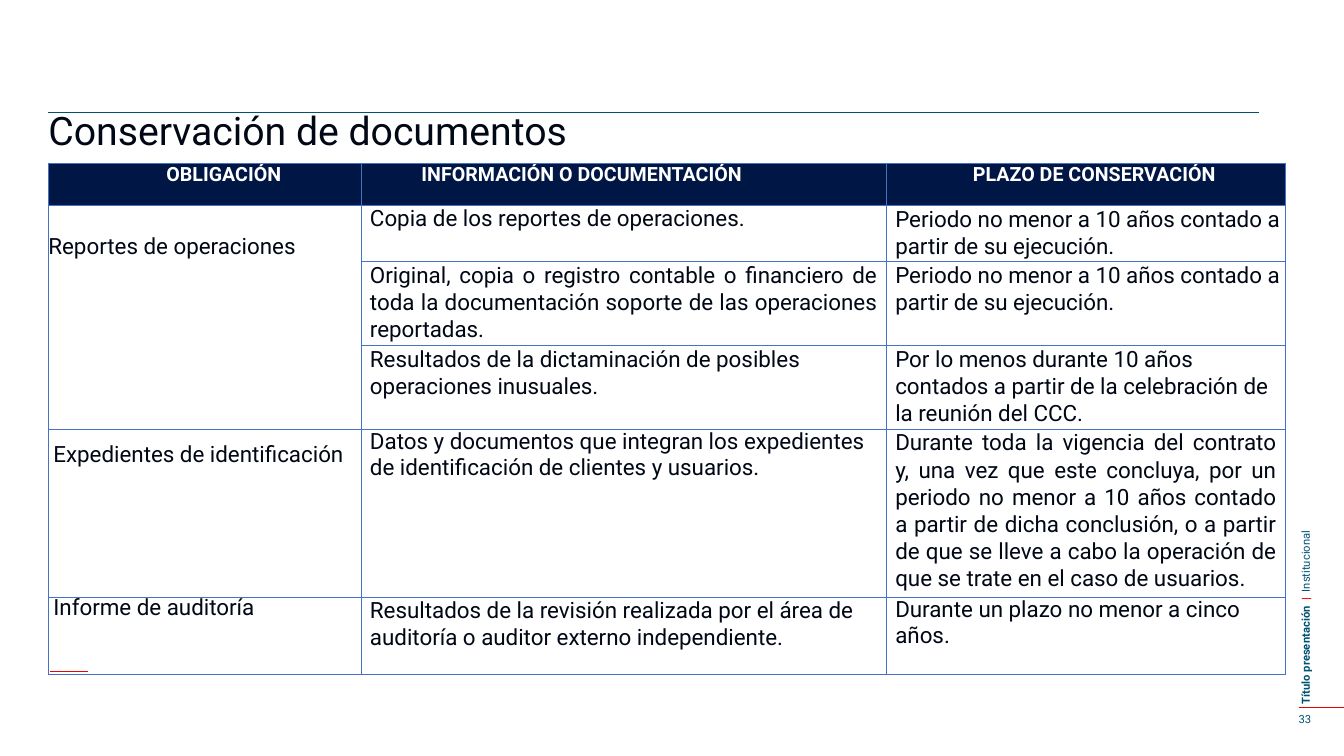
from dataclasses import dataclass

from lxml import etree
from pptx import Presentation
from pptx.dml.color import RGBColor
from pptx.enum.shapes import MSO_CONNECTOR
from pptx.enum.text import MSO_ANCHOR, PP_ALIGN
from pptx.oxml.ns import qn
from pptx.util import Inches, Pt

STRAIGHT = MSO_CONNECTOR.STRAIGHT
TOP = MSO_ANCHOR.TOP
LEFT, CENTER, JUSTIFY = PP_ALIGN.LEFT, PP_ALIGN.CENTER, PP_ALIGN.JUSTIFY


@dataclass(frozen=True)
class Theme:
    font: str = "Roboto"
    ink: str = "000715"
    white: str = "FFFFFF"
    navy: str = "001746"
    grid: str = "4472C4"
    teal: str = "005370"
    rule: str = "005471"
    red: str = "EC0000"
    title: int = 28
    head: int = 14
    body: int = 16
    small: int = 8
    line: float = 0.5


THEME = Theme()

TITLE = "Conservación de documentos"
SIDE = [("Título presentación  ", THEME.teal, True),
        ("|  ", THEME.red, True),
        ("Institucional", THEME.teal, False)]
PAGE = "33"

# Start, end and colour of each rule
RULES = [((12.88, 7.02), (13.33, 7.02), THEME.red),
         ((0.48, 1.11), (12.49, 1.11), THEME.rule),
         ((0.5, 6.66), (0.87, 6.66), THEME.red)]

COLS = [3.1, 5.21, 3.96]
ROWS = [0.42, 0.51, 0.77, 0.77, 1.63, 0.77]

# Text, left indent and alignment
HEADS = [("OBLIGACIÓN", 0.38, CENTER),
         ("INFORMACIÓN O DOCUMENTACIÓN", 0.6, LEFT),
         ("PLAZO DE CONSERVACIÓN", 0.86, LEFT)]

# Row, text, left indent, top inset and rows covered
DUTIES = [(1, "Reportes de operaciones", 0, 0.4, 3),
          (4, "Expedientes de identificación", 0.05, 0.24, 1),
          (5, "Informe de auditoría", 0.05, 0.1, 1)]

# Text, alignment and line spacing of the two right-hand columns
TERM = "Periodo no menor a 10 años contado a partir de su ejecución."
DETAILS = [
    [("Copia de los reportes de operaciones.", LEFT, 1.0),
     (TERM, LEFT, 1.04)],
    [("Original, copia o registro contable o financiero de toda la "
      "documentación soporte de las operaciones reportadas.", JUSTIFY, 1.04),
     (TERM, LEFT, 1.04)],
    [("Resultados de la dictaminación de posibles operaciones inusuales.",
      LEFT, 1.04),
     ("Por lo menos durante 10 años contados a partir de la celebración de "
      "la reunión del CCC.", LEFT, 1.04)],
    [("Datos y documentos que integran los expedientes de identificación de "
      "clientes y usuarios.", LEFT, 1.0),
     ("Durante toda la vigencia del contrato y, una vez que este concluya, "
      "por un periodo no menor a 10 años contado a partir de dicha "
      "conclusión, o a partir de que se lleve a cabo la operación de que se "
      "trate en el caso de usuarios.", JUSTIFY, 1.04)],
    [("Resultados de la revisión realizada por el área de auditoría o "
      "auditor externo independiente.", LEFT, 1.04),
     ("Durante un plazo no menor a cinco años.", LEFT, 1.0)],
]


def add_run(para, text, size, color, bold=False):
    run = para.add_run()
    run.text = text
    font = run.font
    font.name, font.size, font.bold = THEME.font, Pt(size), bold
    font.color.rgb = RGBColor.from_string(color)


def clear_frame(frame):
    """Remove the insets and set the text at the top, wrapped."""
    frame.margin_left = frame.margin_right = 0
    frame.margin_top = frame.margin_bottom = 0
    frame.vertical_anchor = TOP
    frame.word_wrap = True


def add_rule(slide, start, end, color):
    ends = [Inches(n) for n in start + end]
    rule = slide.shapes.add_connector(STRAIGHT, *ends)
    rule.line.color.rgb = RGBColor.from_string(color)
    rule.line.width = Pt(THEME.line)
    etree.SubElement(rule.element.spPr, qn("a:effectLst"))


def add_box(slide, place, runs):
    box = slide.shapes.add_textbox(*[Inches(n) for n in place])
    frame = box.text_frame
    clear_frame(frame)
    for text, color, bold in runs:
        add_run(frame.paragraphs[0], text, THEME.small, color, bold)
    return frame


def edge_cell(cell):
    props = cell._tc.get_or_add_tcPr()
    for side in ("lnL", "lnR", "lnT", "lnB"):
        line = etree.SubElement(props, qn(f"a:{side}"), w=str(Pt(THEME.line)))
        fill = etree.SubElement(line, qn("a:solidFill"))
        etree.SubElement(fill, qn("a:srgbClr"), val=THEME.grid)


def fill_cell(cell, text, left, top=0, right=0, align=LEFT, space=1.0,
              size=THEME.body, color=THEME.ink, bold=False):
    cell.margin_left, cell.margin_right = Inches(left), Inches(right)
    cell.margin_top, cell.margin_bottom = Inches(top), 0
    cell.vertical_anchor = TOP
    para = cell.text_frame.paragraphs[0]
    para.alignment, para.line_spacing = align, space
    add_run(para, text, size, color, bold)


def add_grid(slide):
    place = [Inches(n) for n in (0.48, 1.62, sum(COLS), sum(ROWS))]
    table = slide.shapes.add_table(len(ROWS), len(COLS), *place).table
    table.first_row = table.horz_banding = False
    for col, width in zip(table.columns, COLS):
        col.width = Inches(width)
    for row, height in zip(table.rows, ROWS):
        row.height = Inches(height)
    for cell in table.iter_cells():
        edge_cell(cell)
        cell.fill.background()

    for col, (text, left, align) in enumerate(HEADS):
        cell = table.cell(0, col)
        cell.fill.solid()
        cell.fill.fore_color.rgb = RGBColor.from_string(THEME.navy)
        fill_cell(cell, text, left, align=align, size=THEME.head,
                  color=THEME.white, bold=True)
    for row, text, left, top, span in DUTIES:
        cell = table.cell(row, 0)
        if span > 1:
            cell.merge(table.cell(row + span - 1, 0))
        fill_cell(cell, text, left, top, space=Pt(10))
    for row, pair in enumerate(DETAILS, 1):
        for col, (text, align, space) in enumerate(pair, 1):
            right = 0.09 if align == JUSTIFY else 0.05
            fill_cell(table.cell(row, col), text, 0.09, right=right,
                      align=align, space=space)


def main():
    deck = Presentation()
    deck.slide_width, deck.slide_height = Inches(13.33), Inches(7.5)
    slide = deck.slides.add_slide(deck.slide_layouts[5])

    side = add_box(slide, (12.88, 1.29, 0.13, 5.7), SIDE)
    side.margin_top = Inches(0.03)
    side._txBody.bodyPr.set("vert", "vert270")
    for rule in RULES:
        add_rule(slide, *rule)
    add_box(slide, (12.88, 7.07, 0.39, 0.13), [(PAGE, THEME.teal, False)])

    title = slide.shapes.title
    title.left, title.top = Inches(0.48), Inches(1.11)
    title.width, title.height = Inches(12.37), Inches(0.56)
    clear_frame(title.text_frame)
    para = title.text_frame.paragraphs[0]
    para.alignment, para.line_spacing = LEFT, 0.9
    add_run(para, TITLE, THEME.title, THEME.ink)

    add_grid(slide)
    deck.save("out.pptx")


if __name__ == "__main__":
    main()
